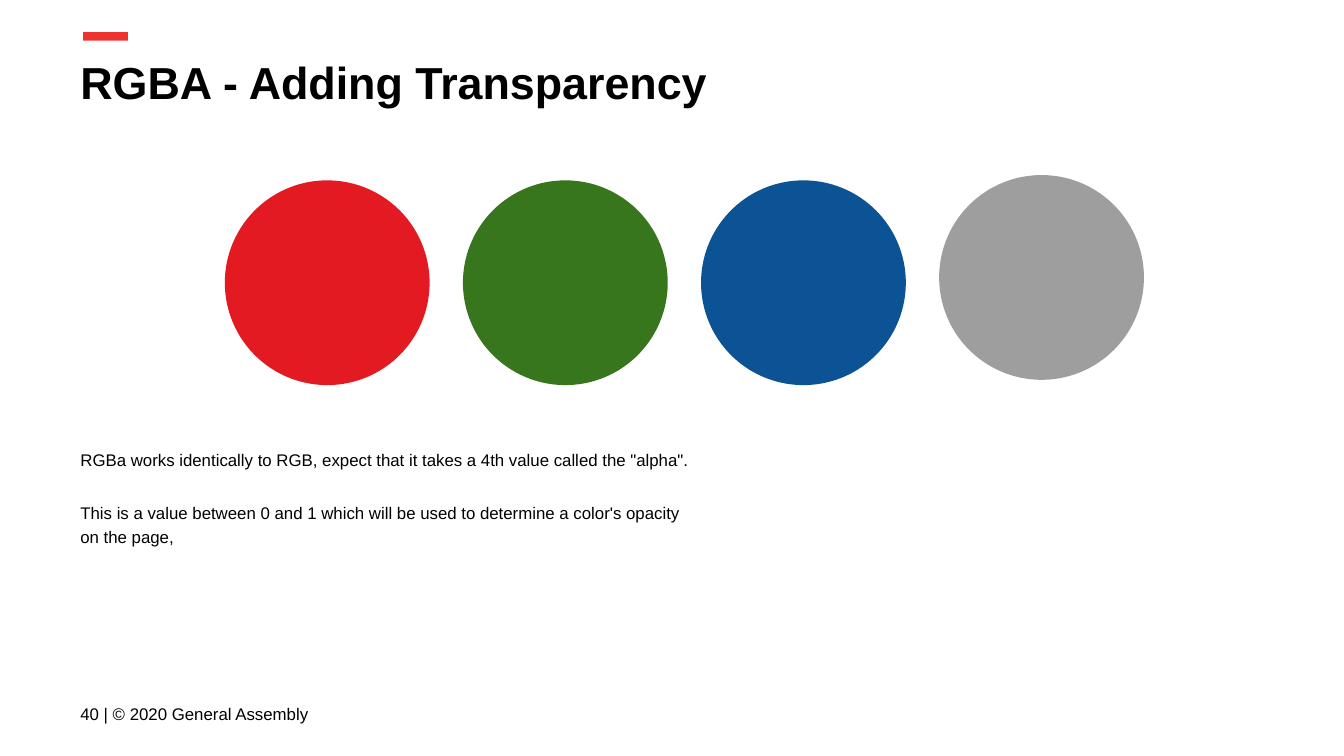
from pptx import Presentation
from pptx.dml.color import RGBColor
from pptx.enum.shapes import MSO_SHAPE
from pptx.enum.text import MSO_ANCHOR
from pptx.util import Cm, Pt

BLACK = RGBColor(0x00, 0x00, 0x00)
ACCENT = RGBColor(0xED, 0x33, 0x2F)
RED = RGBColor(0xE4, 0x1A, 0x23)
GREEN = RGBColor(0x38, 0x76, 0x1D)
BLUE = RGBColor(0x0B, 0x53, 0x94)
GRAY = RGBColor(0x9E, 0x9E, 0x9E)

FONT = "Arial"
INSET = 0.25
MARGIN = 1.27


def add_filled(s, kind, box, color):
    sp = s.shapes.add_shape(kind, *map(Cm, box))
    sp.shadow.inherit = False
    sp.fill.solid()
    sp.fill.fore_color.rgb = color
    sp.line.fill.background()
    return sp


def add_text(s, box, paragraphs, size, bold=False, anchor=MSO_ANCHOR.TOP):
    tf = s.shapes.add_textbox(*map(Cm, box)).text_frame
    tf.word_wrap = True
    tf.vertical_anchor = anchor
    tf.margin_left = tf.margin_right = Cm(INSET)
    tf.margin_top = tf.margin_bottom = Cm(INSET)
    for i, text in enumerate(paragraphs):
        p = tf.add_paragraph() if i else tf.paragraphs[0]
        p.text = text
        for r in p.runs:
            r.font.name = FONT
            r.font.size = Pt(size)
            r.font.bold = bold
            r.font.color.rgb = BLACK
    return tf


def add_header(s, left, top, width, height):
    # Accent bar above the title
    add_filled(s, MSO_SHAPE.RECTANGLE, (left + 0.3, top, 0.85, 0.16), ACCENT)
    add_text(s, (left, top + 0.18, width, height - 0.18),
             ["RGBA - Adding Transparency"], 24, bold=True)


def add_channels(s, left, top, width, height):
    # Red, green, blue and alpha circles; alpha sits slightly higher
    colors = [RED, GREEN, BLUE, GRAY]
    rise = 0.1
    size = height - rise
    pitch = (width - size) / (len(colors) - 1)
    for i, color in enumerate(colors):
        y = top if color == GRAY else top + rise
        add_filled(s, MSO_SHAPE.OVAL, (left + i * pitch, y, size, size), color)


def add_body(s, left, top, width, height):
    tf = add_text(s, (left, top, width, height), [
        'RGBa works identically to RGB, expect that it takes a 4th value called the "alpha".',
        "This is a value between 0 and 1 which will be used to determine a color's opacity \n"
        "on the page,",
    ], 9)
    for p in tf.paragraphs:
        p.line_spacing = 1.15
    tf.paragraphs[1].space_before = Pt(16)


def add_footer(s, left, top, width, height):
    add_text(s, (left, top, width, height),
             ["40 | © 2020 General Assembly"], 9, anchor=MSO_ANCHOR.MIDDLE)


def main():
    prs = Presentation()
    prs.slide_width, prs.slide_height = Cm(25.4), Cm(14.29)
    s = prs.slides.add_slide(prs.slide_layouts[6])
    add_header(s, MARGIN, 0.61, 23.67, 1.78)
    add_body(s, MARGIN, 8.2, 23.67, 3.86)
    add_footer(s, MARGIN, 12.95, 6.58, 1.09)
    add_channels(s, 4.25, 3.31, 17.37, 3.97)
    prs.save("out.pptx")


if __name__ == "__main__":
    main()
